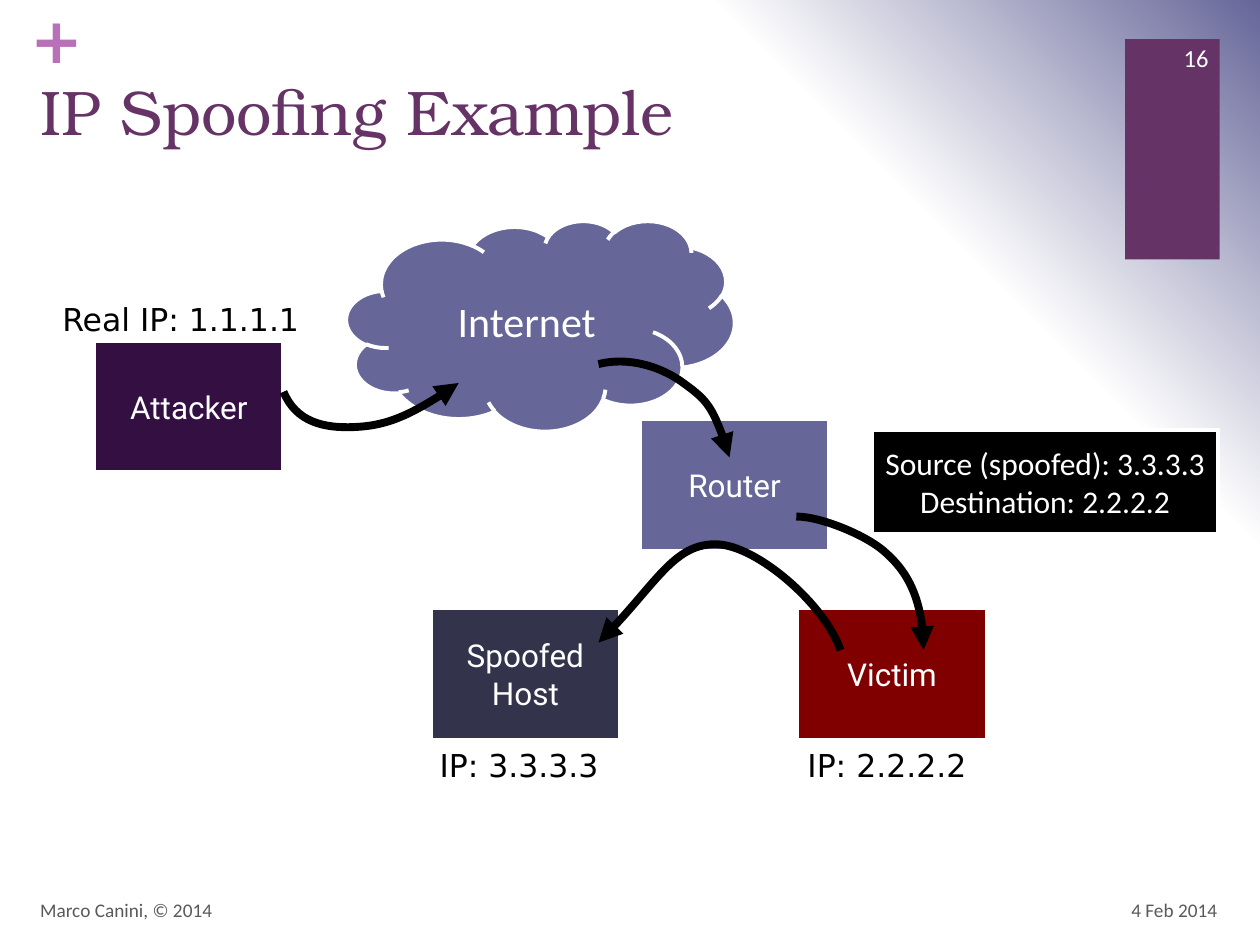
from dataclasses import dataclass

from lxml import etree
from pptx import Presentation
from pptx.dml.color import RGBColor
from pptx.enum.shapes import MSO_SHAPE as Shape
from pptx.enum.text import MSO_ANCHOR as Anchor, PP_ALIGN as Align
from pptx.oxml import parse_xml
from pptx.oxml.ns import nsdecls, qn
from pptx.util import Inches, Pt

WHITE = RGBColor(0xFF, 0xFF, 0xFF)
BLACK = RGBColor(0, 0, 0)
PLUM = RGBColor(0x66, 0x33, 0x66)
ORCHID = RGBColor(0xB8, 0x70, 0xB8)
VIOLET = RGBColor(0x33, 0x0F, 0x42)
SLATE = RGBColor(0x66, 0x66, 0x99)
NAVY = RGBColor(0x33, 0x33, 0x4C)
RED = RGBColor(0x80, 0, 0)
GRAY = RGBColor(0x59, 0x59, 0x59)

SANS, BODY, NODE, SERIF = "DejaVu Sans", "Calibri", "Roboto", "TeX Gyre Bonum"
NODE_W, NODE_H = 1.5, 1.04


@dataclass
class Node:
    text: str
    x: float
    y: float
    fill: RGBColor
    w: float = NODE_W
    h: float = NODE_H
    kind: Shape = Shape.RECTANGLE
    font: str = NODE
    size: int = 18
    wrap: bool = True


@dataclass
class Label:
    text: str
    x: float
    y: float
    w: float
    h: float = 0.4
    size: int = 18
    font: str = SANS
    color: RGBColor = BLACK
    align: Align = Align.CENTER
    anchor: Anchor = Anchor.TOP
    wrap: bool = False
    bold: bool = False
    inset: bool = True


def write(tf, text: str, font: str, size: int, color: RGBColor,
          align: Align, bold: bool = False) -> None:
    p = tf.paragraphs[0]
    p.alignment = align
    for i, line in enumerate(text.split("\n")):
        if i:
            p.add_line_break()
        r = p.add_run()
        r.text = line
        r.font.name, r.font.size, r.font.bold = font, Pt(size), bold
        r.font.color.rgb = color


def add_node(s, n: Node) -> None:
    sp = s.shapes.add_shape(n.kind, *map(Inches, (n.x, n.y, n.w, n.h)))
    sp.shadow.inherit = False
    sp.fill.solid()
    sp.fill.fore_color.rgb = n.fill
    sp.line.color.rgb = WHITE
    sp.line.width = Pt(2.25)
    tf = sp.text_frame
    tf.word_wrap = n.wrap
    tf.vertical_anchor = Anchor.MIDDLE
    write(tf, n.text, n.font, n.size, WHITE, Align.CENTER)


def add_label(s, b: Label) -> None:
    tf = s.shapes.add_textbox(*map(Inches, (b.x, b.y, b.w, b.h))).text_frame
    tf.word_wrap = b.wrap
    tf.vertical_anchor = b.anchor
    if not b.inset:
        tf.margin_left = tf.margin_right = tf.margin_top = tf.margin_bottom = 0
    write(tf, b.text, b.font, b.size, b.color, b.align, b.bold)


def add_curve(s, points: list[tuple[float, float]]) -> None:
    """Draw an arrow: a start point, then three Bezier points per segment."""
    scaled = [(Inches(x), Inches(y)) for x, y in points]
    fb = s.shapes.build_freeform(*scaled[0])
    fb.add_line_segments(scaled[1:], close=False)
    sp = fb.convert_to_shape()
    sp.shadow.inherit = False
    sp.fill.background()
    sp.line.color.rgb = BLACK
    sp.line.width = Pt(4.5)
    # Each three straight segments become one cubic curve
    outline = next(sp.element.iter(qn("a:path")))
    lines = outline.findall(qn("a:lnTo"))
    for i in range(0, len(lines), 3):
        curve = etree.SubElement(outline, qn("a:cubicBezTo"))
        for line in lines[i:i + 3]:
            curve.append(line[0])
            outline.remove(line)
    ln = sp.element.spPr.find(qn("a:ln"))
    etree.SubElement(ln, qn("a:tailEnd"), type="triangle")


def set_background(s) -> None:
    s.background.fill.gradient()
    old = next(s.element.iter(qn("a:gradFill")))
    stops = "".join(
        f'<a:gs pos="{pos * 1000}"><a:srgbClr val="{color}"/></a:gs>'
        for pos, color in ((0, WHITE), (75, WHITE), (100, SLATE)))
    old.getparent().replace(old, parse_xml(
        f'<a:gradFill {nsdecls("a")} rotWithShape="1"><a:gsLst>{stops}</a:gsLst>'
        '<a:path path="circle"><a:fillToRect t="100000" r="100000"/></a:path>'
        '</a:gradFill>'))


HEADER = [
    Label("+", 0.24, 0, 0.29, 0.61, 36, color=ORCHID, align=Align.LEFT,
          bold=True, inset=False),
    Label("IP Spoofing Example", 0.22, 0.53, 8.59, 1.22, 36, SERIF, PLUM,
          Align.LEFT, wrap=True),
]
NODES = [
    Node("Attacker", 0.75, 2.71, VIOLET),
    Node("Internet", 2.75, 1.75, SLATE, 3.08, 1.67, Shape.CLOUD, BODY, 24),
    Node("Router", 5.08, 3.33, SLATE),
    Node("Spoofed Host", 3.42, 4.83, NAVY),
    Node("Victim", 6.33, 4.83, RED),
]
PACKET = Node("Source (spoofed): 3.3.3.3\nDestination: 2.2.2.2", 6.92, 3.41,
              BLACK, 2.75, 0.83, font=BODY, wrap=False)
CURVES = [
    # Router to victim
    [(6.32, 4.1), (6.52, 4.1), (6.87, 4.25), (7.01, 4.37),
     (7.15, 4.49), (7.33, 4.71), (7.33, 5.16)],
    # Internet to router
    [(4.75, 2.89), (4.99, 2.83), (5.24, 2.91), (5.41, 3.03),
     (5.59, 3.16), (5.67, 3.23), (5.79, 3.63)],
    # Victim to spoofed host
    [(6.67, 5.16), (6.55, 4.8), (6.01, 4.33), (5.69, 4.32),
     (5.37, 4.31), (5.19, 4.66), (4.75, 5.1)],
    # Attacker to Internet
    [(2.25, 3.11), (2.35, 3.35), (2.57, 3.4), (2.81, 3.39),
     (3.04, 3.38), (3.27, 3.3), (3.64, 3.04)],
]
ADDRESSES = [
    Label("Real IP: 1.1.1.1", 0.33, 2.33, 2.21),
    Label("IP: 3.3.3.3", 3.33, 5.87, 1.58),
    Label("IP: 2.2.2.2", 6.25, 5.87, 1.58),
]
FOOTER = [
    Label("4 Feb 2014", 7.43, 7.02, 2.33, 0.4, 11, BODY, GRAY, Align.RIGHT,
          Anchor.MIDDLE, True),
    Label("Marco Canini, © 2014", 0.22, 7.02, 6.7, 0.4, 11, BODY, GRAY,
          Align.LEFT, Anchor.MIDDLE, True),
    Label("16", 9.08, 0.26, 0.61, 0.4, 14, BODY, WHITE, Align.RIGHT,
          Anchor.MIDDLE, True),
]


def main() -> None:
    prs = Presentation()
    prs.slide_width, prs.slide_height = Inches(10), Inches(7.5)
    s = prs.slides.add_slide(prs.slide_layouts[6])
    set_background(s)

    # Page number tab
    tab = s.shapes.add_shape(Shape.RECTANGLE, *map(Inches, (8.93, 0.31, 0.75, 1.75)))
    tab.shadow.inherit = False
    tab.fill.solid()
    tab.fill.fore_color.rgb = PLUM
    tab.line.fill.background()

    # Network diagram between header and footer
    for label in HEADER:
        add_label(s, label)
    for node in NODES:
        add_node(s, node)
    for points in CURVES:
        add_curve(s, points)
    for label in ADDRESSES:
        add_label(s, label)
    add_node(s, PACKET)
    for label in FOOTER:
        add_label(s, label)

    prs.save("out.pptx")


if __name__ == "__main__":
    main()
